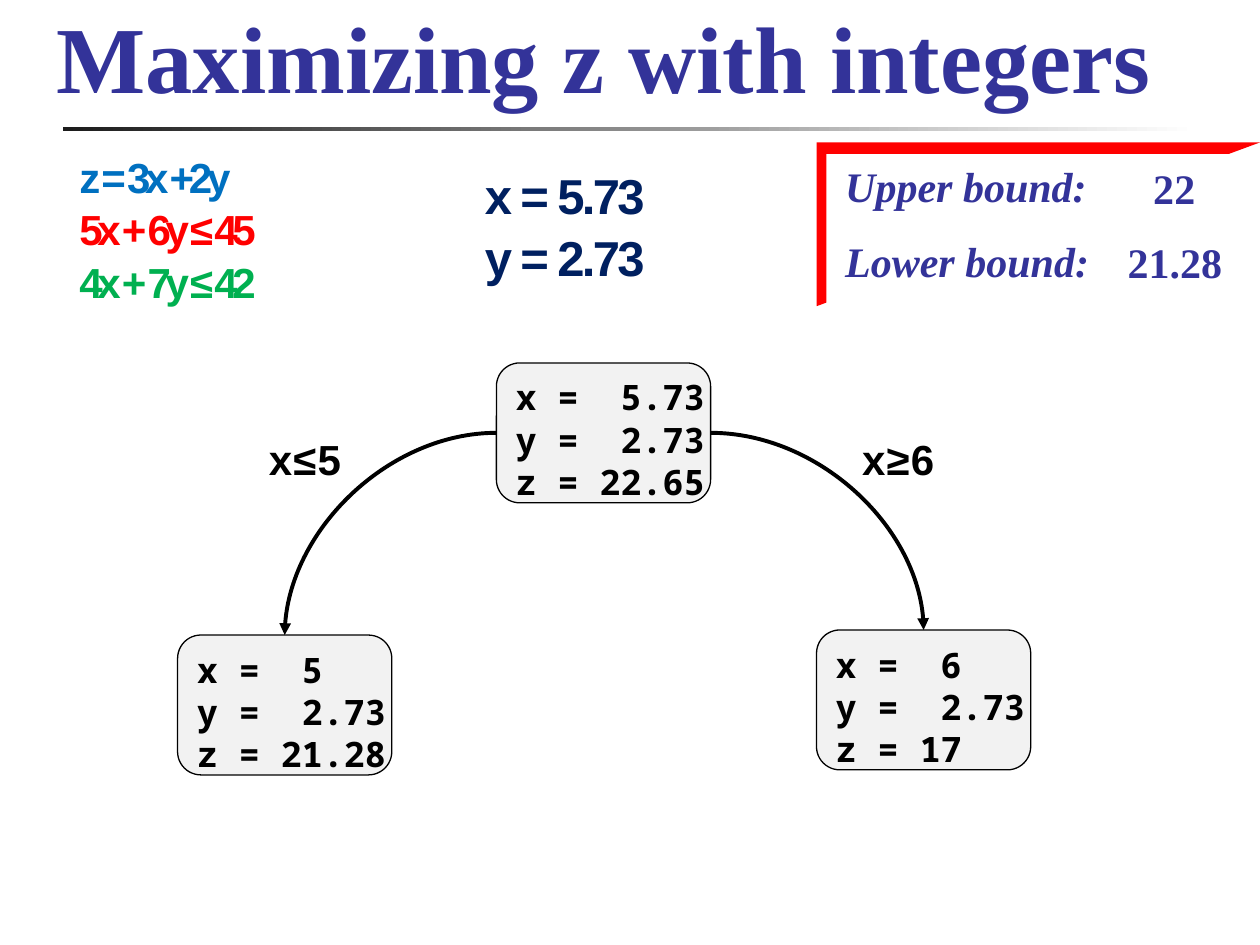
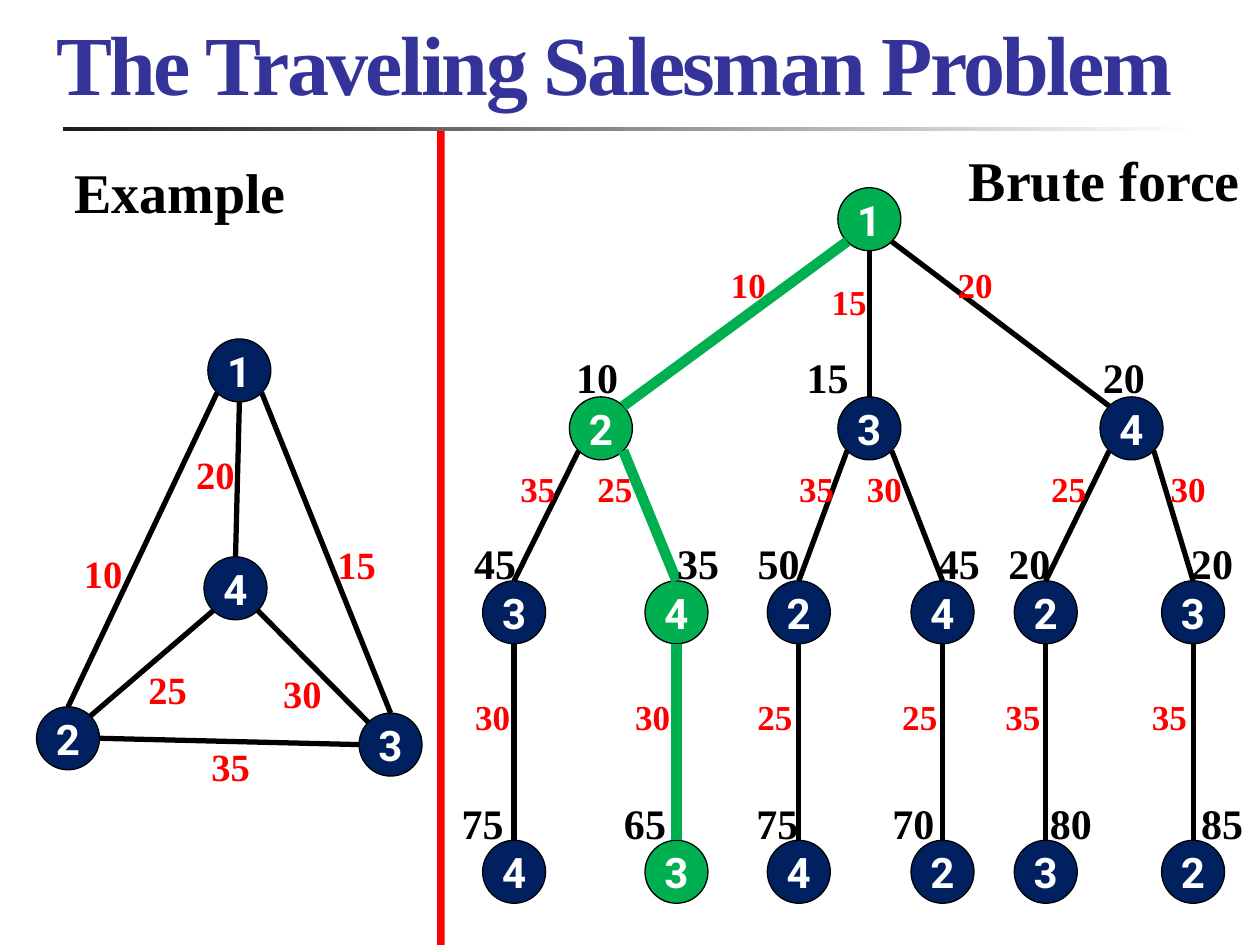
from dataclasses import dataclass
from itertools import cycle
from math import hypot

from lxml.etree import SubElement
from pptx import Presentation
from pptx.dml.color import RGBColor
from pptx.enum.shapes import MSO_CONNECTOR as Link, MSO_SHAPE as Form
from pptx.enum.text import MSO_ANCHOR as Anchor, PP_ALIGN as Align
from pptx.oxml.ns import qn
from pptx.util import Pt

COLORS = {
    "title": "333399", "black": "000000", "white": "FFFFFF", "ink": "1C1C1C",
    "navy": "002060", "green": "00B050", "red": "FF0000", "blue": "0070C0",
    "panel": "F2F2F2",
}
SERIF, SANS, MONO, ROUND = "Times New Roman", "Arial", "Noto Sans Mono", "Roboto"
NODE_SIZE = 36
TOP, BOTTOM, LEFT, RIGHT = (0, -1), (0, 1), (-1, 0), (1, 0)
TOP_LEFT, TOP_RIGHT, LOW_LEFT, LOW_RIGHT = (-1, -1), (1, -1), (-1, 1), (1, 1)


@dataclass(frozen=True)
class Box:
    left: float
    top: float
    width: float
    height: float

    def lengths(self) -> tuple:
        return Pt(self.left), Pt(self.top), Pt(self.width), Pt(self.height)


@dataclass(frozen=True)
class Node:
    label: str
    left: float
    top: float
    color: str = "navy"

    def rim(self, side: tuple[int, int]) -> tuple[float, float]:
        radius = NODE_SIZE / 2
        reach = radius / hypot(*side)
        return (self.left + radius + reach * side[0],
                self.top + radius + reach * side[1])


@dataclass(frozen=True)
class Edge:
    start: Node
    start_side: tuple[int, int]
    end: Node
    end_side: tuple[int, int]
    best: bool = False


@dataclass(frozen=True)
class LabelRow:
    top: float
    size: float
    color: str
    labels: tuple[tuple[str, float], ...]


@dataclass(frozen=True)
class Solution:
    lines: tuple[str, ...]
    left: float
    top: float


def rgb(name: str) -> RGBColor:
    return RGBColor.from_string(COLORS[name])


def write_text(frame, text: str, *, size: float, font: str = SERIF,
               colors: tuple[str, ...] = ("black",), italic: bool = False,
               align=Align.LEFT, anchor=Anchor.TOP, leading: float = 1.0,
               tracking: float = 0, wrap: bool = True, tab: float = 0) -> None:
    frame.word_wrap = wrap
    frame.vertical_anchor = anchor
    for index, (line, color) in enumerate(zip(text.split("\n"), cycle(colors))):
        para = frame.add_paragraph() if index else frame.paragraphs[0]
        para.alignment = align
        if leading != 1:
            para.line_spacing = leading
        if tab:
            stops = SubElement(para._p.get_or_add_pPr(), qn("a:tabLst"))
            SubElement(stops, qn("a:tab"), pos=str(Pt(tab)), algn="l")
        span = para.add_run()
        span.text = line
        span.font.name, span.font.size = font, Pt(size)
        span.font.bold, span.font.italic = True, italic
        span.font.color.rgb = rgb(color)
        if tracking:
            span._r.get_or_add_rPr().set("spc", str(round(tracking * 100)))


def add_text(slide, text: str, box: Box, **style) -> None:
    write_text(slide.shapes.add_textbox(*box.lengths()).text_frame, text, **style)


def add_form(slide, form, box: Box, fill: str, line: str = ""):
    shape = slide.shapes.add_shape(form, *box.lengths())
    shape.shadow.inherit = False
    shape.fill.solid()
    shape.fill.fore_color.rgb = rgb(fill)
    if line:
        shape.line.color.rgb = rgb(line)
        shape.line.width = Pt(0.75)
    else:
        shape.line.fill.background()
    return shape


def add_line(slide, kind, start: tuple[float, float], end: tuple[float, float],
             color: str, width: float):
    line = slide.shapes.add_connector(kind, *map(Pt, (*start, *end)))
    line.line.color.rgb = rgb(color)
    line.line.width = Pt(width)
    SubElement(line._element.spPr, qn("a:effectLst"))
    return line


def add_branch_arrow(slide, start: tuple[float, float], end: tuple[float, float]) -> None:
    arrow = add_line(slide, Link.CURVE, start, end, "black", 2.25)
    properties = arrow._element.spPr
    properties.find(qn("a:prstGeom")).set("prst", "curvedConnector2")
    SubElement(properties.find(qn("a:ln")), qn("a:tailEnd"), type="triangle")


def add_node(slide, node: Node) -> None:
    box = Box(node.left, node.top, NODE_SIZE, NODE_SIZE)
    circle = add_form(slide, Form.OVAL, box, node.color, "black")
    write_text(circle.text_frame, node.label, size=24, font=ROUND, colors=("white",),
               align=Align.CENTER, anchor=Anchor.MIDDLE, wrap=False)


def add_graph(slide, nodes: list[Node], edges: list[Edge]) -> None:
    for node in nodes:
        add_node(slide, node)
    for edge in edges:
        add_line(slide, Link.STRAIGHT, edge.start.rim(edge.start_side),
                 edge.end.rim(edge.end_side),
                 "green" if edge.best else "black", 6 if edge.best else 3)


def add_labels(slide, rows: list[LabelRow]) -> None:
    for row in rows:
        for text, left in row.labels:
            add_text(slide, text, Box(left, row.top, 43.2, 32.4), size=row.size,
                     colors=(row.color,), align=Align.CENTER, leading=1.1)


def add_titled_slide(deck, title: str, size: float, tracking: float = 0):
    slide = deck.slides.add_slide(deck.slide_layouts[6])
    rule = add_form(slide, Form.RECTANGLE, Box(36, 72.7, 648, 2.2), "ink")
    rule.fill.gradient()
    rule.fill.gradient_angle = 0
    for stop, color in zip(rule.fill.gradient_stops, ("ink", "white")):
        stop.color.rgb = rgb(color)
    add_text(slide, title, Box(25.2, 4.7, 669, 63), size=size, colors=("title",),
             anchor=Anchor.BOTTOM, tracking=tracking)
    return slide


def build_integer_slide(deck) -> None:
    slide = add_titled_slide(deck, "Maximizing z with integers", 54)
    add_text(slide, "z = 3x +2y\n5x + 6y ≤ 45\n4x + 7y ≤ 42", Box(38.2, 81.4, 214.6, 93.6),
             size=24, font=SANS, colors=("blue", "red", "green"), tracking=-3, leading=1.05)
    add_text(slide, "x = 5.73\ny = 2.73", Box(270, 90, 170.6, 74.9), size=28, font=SANS,
             colors=("navy",), tracking=-1.5, leading=1.04)

    bound = dict(size=24, colors=("title",), anchor=Anchor.BOTTOM, leading=1.5)
    add_text(slide, "Upper bound:\nLower bound:", Box(475.9, 92.2, 162.7, 74.9),
             italic=True, **bound)
    frame = add_form(slide, Form.HALF_FRAME, Box(466.6, 81.4, 253.4, 93.6), "red")
    frame.adjustments[0], frame.adjustments[1] = 0.07, 0.06
    add_text(slide, "22", Box(648, 92.2, 46, 33.1), align=Align.CENTER, **bound)
    add_text(slide, "21.28", Box(629.3, 134.6, 84.2, 33.1), align=Align.CENTER, **bound)

    width, height = 122.4, 79.9
    root = Solution(("x =\t5.73", "y =\t2.73", "z = 22.65"), 283.7, 207.4)
    low = Solution(("x =\t5", "y =\t2.73", "z = 21.28"), 101.5, 362.9)
    high = Solution(("x =\t6", "y =\t2.73", "z = 17"), 466.6, 360)
    for solution in (root, low, high):
        panel = add_form(slide, Form.FLOWCHART_ALTERNATE_PROCESS,
                         Box(solution.left, solution.top, width, height), "panel", "black")
        write_text(panel.text_frame, "\n".join(solution.lines), size=20, font=MONO,
                   wrap=False, tab=60)

    middle = root.top + height / 2
    for start, child in ((root.left, low), (root.left + width, high)):
        add_branch_arrow(slide, (start, middle), (child.left + width / 2, child.top))
    for text, left in (("x ≤ 5", 126.7), ("x ≥ 6", 465.8)):
        add_text(slide, text, Box(left, 247, 95, 33.1), size=24, font=SANS, tracking=-3,
                 align=Align.CENTER, anchor=Anchor.BOTTOM, leading=1.5)


def add_example(slide) -> None:
    one, two = Node("1", 118.8, 193.7), Node("2", 20.9, 403.9)
    three, four = Node("3", 205.2, 407.5), Node("4", 116.6, 318.2)
    add_graph(slide, [one, two, three, four], [
        Edge(one, LOW_RIGHT, three, TOP),
        Edge(one, LOW_LEFT, two, TOP),
        Edge(two, TOP_RIGHT, four, LOW_LEFT),
        Edge(one, BOTTOM, four, TOP),
        Edge(three, TOP_LEFT, four, LOW_RIGHT),
        Edge(three, LEFT, two, RIGHT),
    ])
    distances = (("20", 101.5, 251.3), ("35", 110.2, 418.3), ("10", 37.4, 308.2),
                 ("15", 182.2, 303.1), ("25", 74.2, 374.4), ("30", 151.2, 376.6))
    add_labels(slide, [LabelRow(top, 22, "red", ((text, left),))
                       for text, left, top in distances])


def add_search_tree(slide) -> None:
    root = Node("1", 478.8, 107.3, "green")
    seconds = [Node("2", 325.4, 226.8, "green"), Node("3", 478.8, 226.8),
               Node("4", 628.6, 226.8)]
    columns = (275.8, 368.6, 438.5, 520.6, 579.6, 663.8)
    best_column = 1
    nodes = [root, *seconds]
    edges = [Edge(root, LOW_LEFT, seconds[0], TOP_RIGHT, True),
             Edge(root, BOTTOM, seconds[1], TOP),
             Edge(root, LOW_RIGHT, seconds[2], TOP_LEFT)]
    for index, (left, third, last) in enumerate(zip(columns, "342423", "434232")):
        best = index == best_column
        color = "green" if best else "navy"
        branch, leaf = Node(third, left, 331.9, color), Node(last, left, 480.2, color)
        nodes += [branch, leaf]
        side = LOW_RIGHT if index % 2 else LOW_LEFT
        edges += [Edge(seconds[index // 2], side, branch, TOP, best),
                  Edge(branch, BOTTOM, leaf, TOP, best)]
    add_graph(slide, nodes, edges)
    add_labels(slide, [
        LabelRow(194.4, 24, "black", (("10", 319.7), ("15", 451.4), ("20", 620.6))),
        LabelRow(301, 24, "black", (("45", 261.4), ("35", 377.3), ("50", 423.4),
                                    ("45", 526.3), ("20", 566.6), ("20", 671))),
        LabelRow(449.3, 24, "black", (("75", 254.2), ("65", 347), ("75", 422.6),
                                      ("70", 500.4), ("80", 590.4), ("85", 676.8))),
        LabelRow(144.9, 20, "red", (("10", 406.1), ("20", 535.7))),
        LabelRow(154.1, 20, "red", (("15", 463.7),)),
        LabelRow(261.4, 20, "red", (("35", 285.8), ("25", 329.8), ("35", 445),
                                    ("30", 483.8), ("25", 589), ("30", 657.4))),
        LabelRow(391.7, 20, "red", (("30", 259.9), ("30", 351.4), ("25", 421.2),
                                    ("25", 504), ("35", 563), ("35", 646.6))),
    ])


def build_salesman_slide(deck) -> None:
    slide = add_titled_slide(deck, "The Traveling Salesman Problem", 48, -1.5)
    add_example(slide)
    add_search_tree(slide)
    add_form(slide, Form.RECTANGLE, Box(249.8, 74.9, 4.3, 465.1), "red")
    for text, left, top in (("Example", 35.3, 82.8), ("Brute force", 546.5, 75.6)):
        add_text(slide, text, Box(left, top, 173.5, 42.5), size=32, leading=1.1)


def main() -> None:
    deck = Presentation()
    deck.slide_width, deck.slide_height = Pt(720), Pt(540)
    build_integer_slide(deck)
    build_salesman_slide(deck)
    deck.save("out.pptx")


if __name__ == "__main__":
    main()
